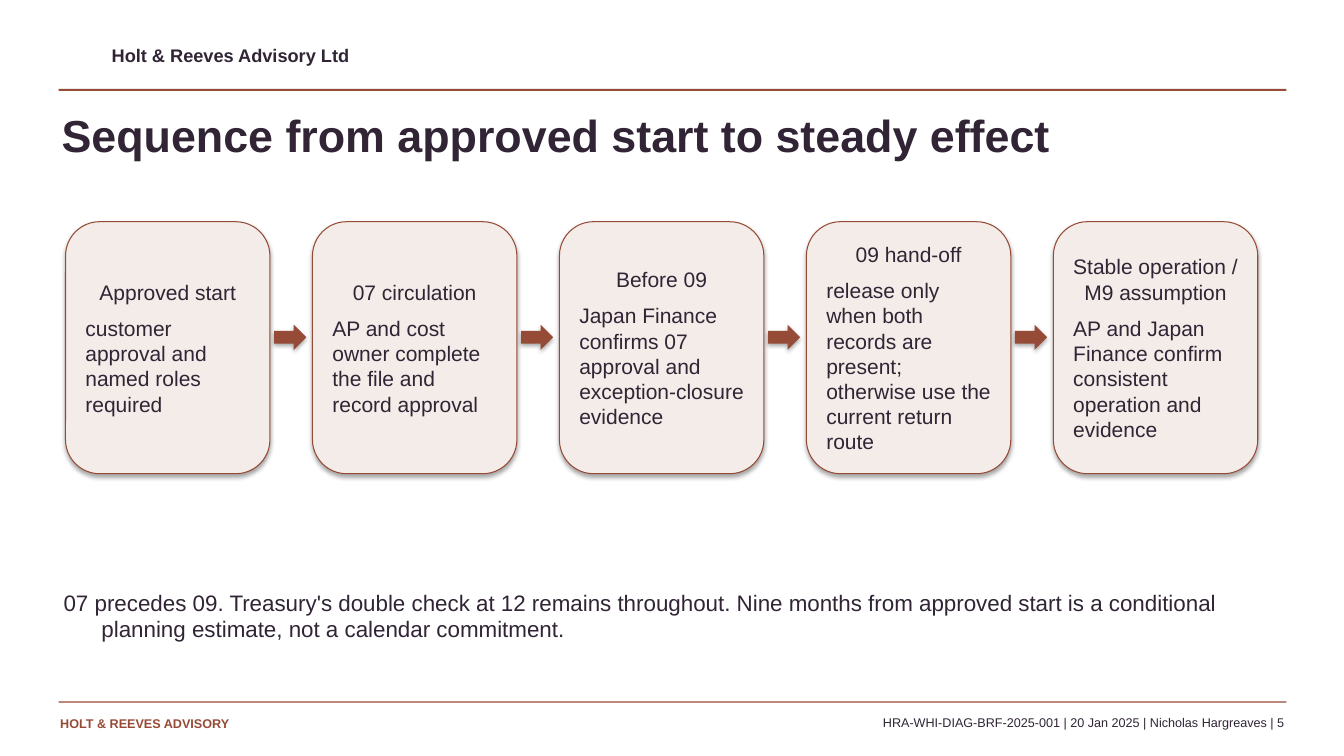
import pptx
import pptx.dml.color
import pptx.enum.shapes
import pptx.enum.text
import pptx.util
from dataclasses import dataclass
from lxml import etree

Pt = pptx.util.Pt
RGB = pptx.dml.color.RGBColor
KIND = pptx.enum.shapes.MSO_SHAPE
ALIGN = pptx.enum.text.PP_ALIGN
ANCHOR = pptx.enum.text.MSO_ANCHOR
FIT = pptx.enum.text.MSO_AUTO_SIZE


@dataclass(frozen=True)
class Theme:
    rust: RGB = RGB(0x96, 0x4B, 0x37)
    ink: RGB = RGB(0x30, 0x24, 0x35)
    cream: RGB = RGB(0xF4, 0xEC, 0xE8)
    face: str = "Arial"
    title: int = 32
    body: int = 16
    card: int = 15
    brand: int = 13
    small: int = 9


THEME = Theme()

STEPS = [
    ("Approved start", "customer approval and named roles required"),
    ("07 circulation", "AP and cost owner complete the file and record approval"),
    ("Before 09", "Japan Finance confirms 07 approval and exception-closure evidence"),
    ("09 hand-off", "release only when both records are present; "
                    "otherwise use the current return route"),
    ("Stable operation / M9 assumption",
     "AP and Japan Finance confirm consistent operation and evidence"),
]


def apply(item, values):
    for name, value in values.items():
        setattr(item, name, value)


def place(shape, box):
    names = ("left", "top", "width", "height")
    apply(shape, dict(zip(names, map(Pt, box))))


def write(para, text, size, color=THEME.ink, bold=False, align=ALIGN.LEFT, after=0):
    apply(para, {"text": text, "alignment": align,
                 "space_before": Pt(0), "space_after": Pt(after)})
    apply(para.font, {"name": THEME.face, "size": Pt(size), "bold": bold})
    para.font.color.rgb = color


def frame(shape):
    """Strip margins and fitting from a text shape, and return its first paragraph."""
    text = shape.text_frame
    apply(text, {"margin_left": 0, "margin_right": 0, "margin_top": 0,
                 "margin_bottom": 0, "word_wrap": True, "auto_size": FIT.NONE,
                 "vertical_anchor": ANCHOR.TOP})
    return text.paragraphs[0]


def label(slide, box, text, size, **style):
    shape = slide.shapes.add_textbox(*map(Pt, box))
    write(frame(shape), text, size, **style)


def solid(slide, kind, box, color, edge=None, shadow=False):
    shape = slide.shapes.add_shape(kind, *map(Pt, box))
    shape.fill.solid()
    shape.fill.fore_color.rgb = color
    if edge is None:
        shape.line.fill.background()
    else:
        shape.line.color.rgb = edge
        shape.line.width = Pt(0.75)
    if not shadow:
        shape.shadow.inherit = False
    return shape


def header(slide, box):
    x, y, w, h = box
    label(slide, (x + 38, y + 1.5, 432, 19), "Holt & Reeves Advisory Ltd",
          THEME.brand, bold=True)
    solid(slide, KIND.RECTANGLE, (x, y + h - 1.5, w, 1.5), THEME.rust)


def footer(slide, box):
    x, y, w, h = box
    solid(slide, KIND.RECTANGLE, (x, y, w, 1), THEME.rust)
    label(slide, (x + 1.2, y + 10, 245, 18), "HOLT & REEVES ADVISORY",
          THEME.small, color=THEME.rust, bold=True)
    label(slide, (x + w - 622, y + 10, 620.5, 14),
          "HRA-WHI-DIAG-BRF-2025-001 | 20 Jan 2025 | Nicholas Hargreaves | 5",
          THEME.small, align=ALIGN.RIGHT)


def heading(slide, box):
    title = slide.shapes.title
    place(title, box)
    write(frame(title), "Sequence from approved start to steady effect",
          THEME.title, bold=True)


def note(slide, box):
    body = slide.placeholders[1]
    place(body, box)
    para = frame(body)
    props = para._p.get_or_add_pPr()
    props.set("marL", str(Pt(27)))
    props.set("indent", str(Pt(-27)))
    etree.SubElement(props, pptx.oxml.ns.qn("a:buNone"))
    write(para, "07 precedes 09. Treasury's double check at 12 remains throughout. "
          "Nine months from approved start is a conditional planning estimate, "
          "not a calendar commitment.", THEME.body, after=8)


def card(slide, box, name, detail):
    shape = solid(slide, KIND.ROUNDED_RECTANGLE, box, THEME.cream,
                  edge=THEME.rust, shadow=True)
    text = shape.text_frame
    apply(text, {"word_wrap": True, "vertical_anchor": ANCHOR.MIDDLE})
    write(text.paragraphs[0], name, THEME.card, align=ALIGN.CENTER, after=8)
    write(text.add_paragraph(), detail, THEME.card, after=8)


def flow(slide, box, gap=30.4):
    """Fill the box with equal step cards and an arrow in each gap."""
    x, y, w, h = box
    wide = (w - gap * (len(STEPS) - 1)) / len(STEPS)
    for i, (name, detail) in enumerate(STEPS):
        left = x + i * (wide + gap)
        if i:
            solid(slide, KIND.RIGHT_ARROW, (left - gap + 3, y + 73.5, 23, 18),
                  THEME.rust, shadow=True)
        card(slide, (left, y, wide, h), name, detail)


def main():
    deck = pptx.Presentation()
    apply(deck, {"slide_width": Pt(960), "slide_height": Pt(540)})
    slide = deck.slides.add_slide(deck.slide_layouts[1])
    header(slide, (41.8, 30, 877, 35))
    heading(slide, (44, 77, 864, 56))
    flow(slide, (46.8, 158.4, 851.6, 180))
    note(slide, (45.4, 420.5, 860, 57.6))
    footer(slide, (41.8, 501, 877, 28))
    deck.save("out.pptx")


if __name__ == "__main__":
    main()
